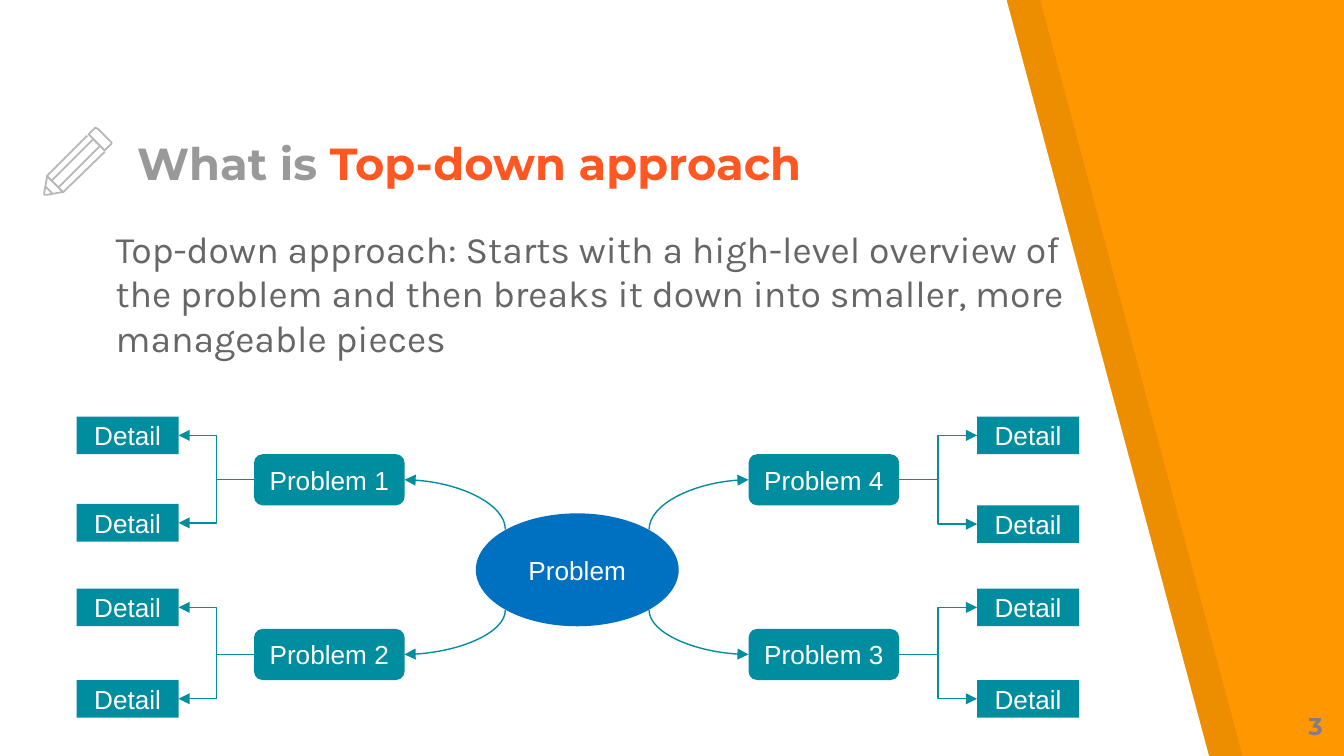
"""Build the slide that explains the top-down approach with a problem tree."""
from lxml import etree
from pptx import Presentation, util as u
from pptx.dml.color import RGBColor
from pptx.enum import shapes as s, text as t
from pptx.oxml.ns import qn

COLUMNS, ROWS = 1000, 562.5
CELL = u.Inches(0.01)
ORANGE = RGBColor(0xFF, 0x98, 0x00)
BLACK = RGBColor(0x00, 0x00, 0x00)
WHITE = RGBColor(0xFF, 0xFF, 0xFF)
RED = RGBColor(0xFF, 0x57, 0x22)
BLUE = RGBColor(0x00, 0x70, 0xC0)
TEAL = RGBColor(0x00, 0x8D, 0x9F)
TITLE_GREY = RGBColor(0x99, 0x99, 0x99)
BODY_GREY = RGBColor(0x66, 0x66, 0x66)
NUMBER_GREY = RGBColor(0x80, 0x80, 0x80)
PENCIL_GREY = RGBColor(0xB7, 0xB7, 0xB7)

PENCIL = [
    ([(82, 105), (73, 96), (71, 95), (70, 96), (66, 100), (78, 112),
      (82, 108), (83, 107), (83, 106)], True),
    ([(74, 109), (44, 139)], False),
    ([(65, 101), (35, 131), (35, 132), (33, 143), (33, 145), (34, 145),
      (35, 145), (46, 143), (47, 143), (78, 113)], False),
    ([(39, 134), (69, 104)], False),
    ([(39, 144), (34, 139)], False),
    ([(35, 131), (47, 143)], False),
]
DETAIL_SIZE = (76, 28)
PROBLEM_SIZE = (112, 38)
CORE_CENTER, CORE_SIZE = (429.5, 424), (151, 84)
LEFT_SITE, RIGHT_SITE = 1, 3
LEFT_SIDE = dict(problem=245, detail=95, reach=376, inner=RIGHT_SITE, outer=LEFT_SITE)
RIGHT_SIDE = dict(problem=613, detail=765, reach=483, inner=LEFT_SITE, outer=RIGHT_SITE)
BRANCHES = [
    ("Problem 1", LEFT_SIDE, 357, 394, (324, 389)),
    ("Problem 2", LEFT_SIDE, 487, 454, (452, 520)),
    ("Problem 3", RIGHT_SIDE, 487, 454, (452, 520)),
    ("Problem 4", RIGHT_SIDE, 357, 394, (324, 390)),
]


def grid(*cells):
    """Turn counts of grid cells into lengths."""
    return [u.Emu(int(cell * CELL)) for cell in cells]


def format_run(run, font, size, color, bold=False):
    """Set the look of one run."""
    run.font.name, run.font.size, run.font.bold = font, u.Pt(size), bold
    run.font.color.rgb = color


def place(placeholder, box):
    """Move a placeholder to its grid box and return its text frame."""
    placeholder.left, placeholder.top, placeholder.width, placeholder.height = grid(*box)
    frame = placeholder.text_frame
    frame.word_wrap, frame.auto_size = True, t.MSO_AUTO_SIZE.NONE
    return frame


def add_outline(container, points, closed=True):
    """Draw a freeform through grid points."""
    builder = container.build_freeform(*points[0], scale=CELL)
    builder.add_line_segments(points[1:], close=closed)
    outline = builder.convert_to_shape()
    outline.shadow.inherit = False
    return outline


def add_panel(slide, shift, color):
    """Draw a slanted panel that starts at the given column."""
    corners = [(0, -1), (0, 564), (900, 564), (749, 0)]
    panel = add_outline(slide.shapes, [(x + shift, y) for x, y in corners])
    panel.fill.solid()
    panel.fill.fore_color.rgb = color
    panel.line.fill.background()
    return panel


def add_backdrop(slide):
    """Lay the white panel and its soft shade over the orange ground."""
    slide.background.fill.solid()
    slide.background.fill.fore_color.rgb = ORANGE
    shade = add_panel(slide, 25, BLACK)
    tint = shade._element.spPr.find(qn("a:solidFill"))[0]
    etree.SubElement(tint, qn("a:alpha")).set("val", "7000")
    add_panel(slide, 0, WHITE)


def add_pencil(slide):
    """Draw the pencil icon as one group of outlines."""
    pencil = slide.shapes.add_group_shape()
    for points, closed in PENCIL:
        stroke = add_outline(pencil.shapes, points, closed)
        stroke.fill.background()
        stroke.line.color.rgb = PENCIL_GREY
        stroke.line.width = u.Pt(0.96)


def add_title(slide, parts):
    """Fill the title with coloured parts."""
    frame = place(slide.shapes.title, (92, 98, 517, 53))
    frame.vertical_anchor = t.MSO_ANCHOR.BOTTOM
    frame.margin_top = frame.margin_bottom = u.Inches(0.1)
    heading = frame.paragraphs[0]
    heading.alignment = t.PP_ALIGN.LEFT
    for words, color in parts:
        run = heading.add_run()
        run.text = words
        format_run(run, "Montserrat", 24, color, True)


def add_definition(slide, words):
    """Fill the body with one paragraph without a bullet."""
    frame = place(slide.placeholders[1], (76, 163, 733, 111))
    frame.text = words
    paragraph = frame.paragraphs[0]
    paragraph.space_before = u.Pt(0)
    format_run(paragraph.runs[0], "Karla", 20, BODY_GREY)
    properties = paragraph._p.get_or_add_pPr()
    properties.set("marL", "0")
    properties.set("indent", "0")
    etree.SubElement(properties, qn("a:buNone"))


def add_page_number(slide, number):
    """Put the page number in the lower right corner."""
    frame = slide.shapes.add_textbox(*grid(934, 519, 60, 43)).text_frame
    frame.word_wrap = True
    frame.margin_top = frame.margin_bottom = u.Inches(0.1)
    frame.text = number
    frame.paragraphs[0].alignment = t.PP_ALIGN.RIGHT
    format_run(frame.paragraphs[0].runs[0], "Montserrat", 13, NUMBER_GREY, True)


def add_node(slide, kind, label, center, size, color):
    """Draw a labelled node around its centre."""
    (x, y), (width, height) = center, size
    node = slide.shapes.add_shape(kind, *grid(x - width / 2, y - height / 2, width, height))
    node.shadow.inherit = False
    node.fill.solid()
    node.fill.fore_color.rgb = color
    node.line.fill.background()
    frame = node.text_frame
    frame.margin_left = frame.margin_right = 0
    frame.text = label
    frame.vertical_anchor = t.MSO_ANCHOR.MIDDLE
    frame.paragraphs[0].alignment = t.PP_ALIGN.CENTER
    format_run(frame.paragraphs[0].runs[0], "Arial", 14, WHITE)
    return node


def add_arrow(slide, kind, start, end, arrow_end):
    """Draw a connector with an arrowhead at its headEnd or tailEnd."""
    arrow = slide.shapes.add_connector(kind, *grid(*start, *end))
    arrow.line.color.rgb = TEAL
    arrow.line.width = u.Pt(0.75)
    etree.SubElement(arrow.line._get_or_add_ln(), qn(f"a:{arrow_end}")).set("type", "triangle")
    etree.SubElement(arrow._element.spPr, qn("a:effectLst"))
    return arrow


def add_branch(slide, label, side, row, core_row, detail_rows):
    """Draw one problem, its curve to the core and its details."""
    center = (side["problem"], row)
    problem = add_node(slide, s.MSO_SHAPE.ROUNDED_RECTANGLE, label, center, PROBLEM_SIZE, TEAL)
    toward_core = 1 if side["inner"] == RIGHT_SITE else -1
    edge = (side["problem"] + toward_core * PROBLEM_SIZE[0] / 2, row)
    curve = add_arrow(slide, s.MSO_CONNECTOR.CURVE, edge, (side["reach"], core_row), "headEnd")
    curve._element.spPr.find(qn("a:prstGeom")).set("prst", "curvedConnector2")
    for detail_row in detail_rows:
        spot = (side["detail"], detail_row)
        detail = add_node(slide, s.MSO_SHAPE.RECTANGLE, "Detail", spot, DETAIL_SIZE, TEAL)
        link = add_arrow(slide, s.MSO_CONNECTOR.ELBOW, center, spot, "tailEnd")
        link.begin_connect(problem, side["outer"])
        link.end_connect(detail, side["inner"])


def main():
    """Assemble and save the slide."""
    deck = Presentation()
    deck.slide_width, deck.slide_height = grid(COLUMNS, ROWS)
    slide = deck.slides.add_slide(deck.slide_layouts[1])
    add_backdrop(slide)
    add_title(slide, [("What is ", TITLE_GREY), ("Top-down approach", RED)])
    add_definition(slide, "Top-down approach: Starts with a high-level overview of the problem "
                          "and then breaks it down into smaller, more manageable pieces")
    for holder in (slide.shapes.title, slide.placeholders[1]):
        slide.shapes._spTree.append(holder._element)
    add_pencil(slide)
    add_page_number(slide, "3")
    add_node(slide, s.MSO_SHAPE.OVAL, "Problem", CORE_CENTER, CORE_SIZE, BLUE)
    for branch in BRANCHES:
        add_branch(slide, *branch)
    deck.save("out.pptx")


if __name__ == "__main__":
    main()
